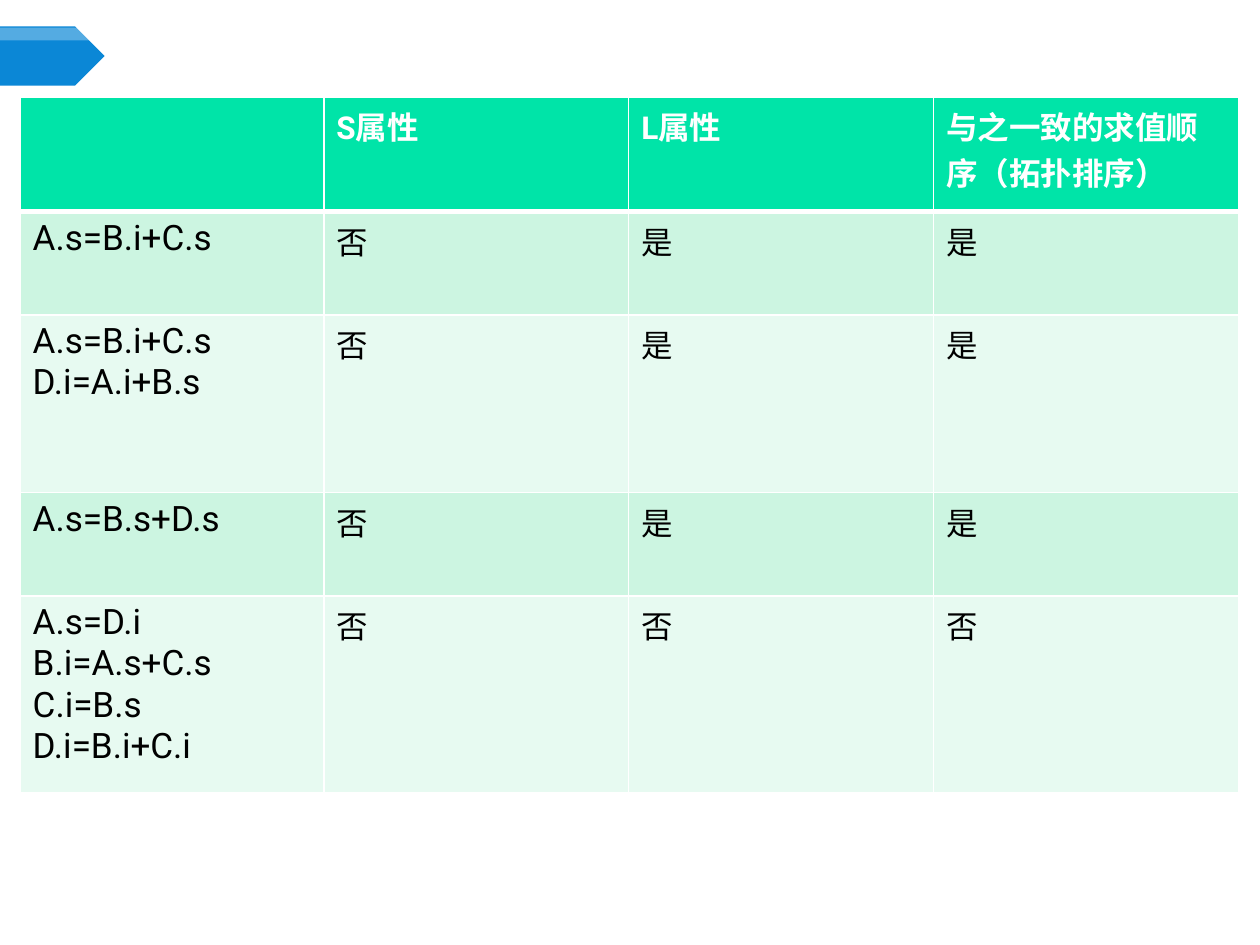
from lxml import etree
from pptx import Presentation
from pptx.dml.color import RGBColor
from pptx.enum.shapes import MSO_SHAPE
from pptx.oxml.ns import qn
from pptx.util import Inches, Pt

PENTAGON = MSO_SHAPE.PENTAGON

ROWS = [
    ("", "S属性", "L属性", "与之一致的求值顺序（拓扑排序）"),
    ("A.s=B.i+C.s", "否", "是", "是"),
    ("A.s=B.i+C.s\vD.i=A.i+B.s", "否", "是", "是"),
    ("A.s=B.s+D.s", "否", "是", "是"),
    ("A.s=D.i\nB.i=A.s+C.s\nC.i=B.s\nD.i=B.i+C.i", "否", "否", "否"),
]
ROW_HEIGHTS = [0.91, 0.82, 1.41, 0.82, 1.56]
COLUMN_WIDTHS = [2.41, 2.42, 2.42, 2.42]
TABLE_LEFT, TABLE_TOP = 0.16, 0.77
HEADER_FILL = "00E4A8"
BAND_FILLS = ["E7FAF1", "CCF5E1"]
WHITE, BLACK, BLUE = "FFFFFF", "000000", "0B87D6"
ARROWS = [(0.21, 0.47, BLUE, 100), (0.22, 0.1, WHITE, 30)]


def set_fill(target, color):
    target.fill.solid()
    target.fill.fore_color.rgb = RGBColor.from_string(color)


def add_arrow(slide, top, height, color, opacity):
    shape = slide.shapes.add_shape(
        PENTAGON, 0, Inches(top), Inches(0.83), Inches(height))
    shape.shadow.inherit = False
    shape.line.fill.background()
    set_fill(shape, color)
    if opacity < 100:
        color_element = shape.fill._xPr.find(qn("a:solidFill"))[0]
        etree.SubElement(color_element, qn("a:alpha"), val=str(opacity * 1000))


def set_borders(cell, widths):
    properties = cell._tc.get_or_add_tcPr()
    for side, width in widths.items():
        line = etree.SubElement(properties, qn(f"a:ln{side}"), w=str(Pt(width)))
        fill = etree.SubElement(line, qn("a:solidFill"))
        etree.SubElement(fill, qn("a:srgbClr"), val=WHITE)


def format_cell(cell, text, row, column):
    is_header = row == 0
    set_borders(cell, {"L": 1, "R": 1, "T": 3 if row == 1 else 1,
                       "B": 3 if is_header else 1})
    set_fill(cell, HEADER_FILL if is_header else BAND_FILLS[row % 2])
    cell.text_frame.text = text
    font_format = {
        "name": "Roboto",
        "size": Pt(20 if column == 0 and not is_header else 18),
        "bold": is_header,
    }
    for paragraph in cell.text_frame.paragraphs:
        for run in paragraph.runs:
            for name, value in font_format.items():
                setattr(run.font, name, value)
            run.font.color.rgb = RGBColor.from_string(WHITE if is_header else BLACK)


def add_rules_table(slide):
    table = slide.shapes.add_table(
        len(ROWS), len(COLUMN_WIDTHS), Inches(TABLE_LEFT), Inches(TABLE_TOP),
        Inches(sum(COLUMN_WIDTHS)), Inches(sum(ROW_HEIGHTS))).table
    for column, width in zip(table.columns, COLUMN_WIDTHS):
        column.width = Inches(width)
    for row, height in zip(table.rows, ROW_HEIGHTS):
        row.height = Inches(height)
    for row, texts in enumerate(ROWS):
        for column, text in enumerate(texts):
            format_cell(table.cell(row, column), text, row, column)


def main():
    presentation = Presentation()
    presentation.slide_width = Inches(10)
    presentation.slide_height = Inches(7.5)
    slide = presentation.slides.add_slide(presentation.slide_layouts[6])
    for arrow in ARROWS:
        add_arrow(slide, *arrow)
    add_rules_table(slide)
    presentation.save("out.pptx")


if __name__ == "__main__":
    main()
